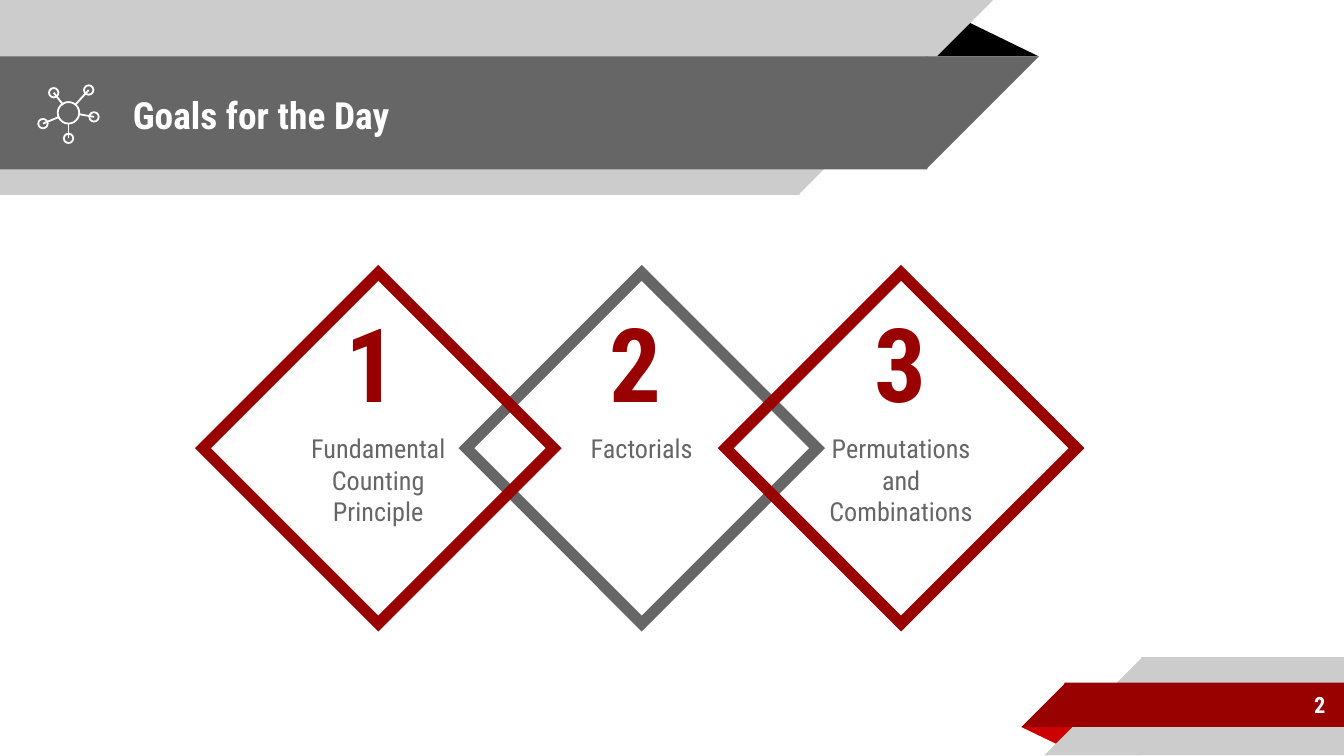
from typing import NamedTuple, Optional

from lxml.etree import SubElement
from pptx import Presentation
from pptx.dml.color import RGBColor
from pptx.enum.shapes import MSO_CONNECTOR, MSO_SHAPE as Preset
from pptx.enum.text import MSO_ANCHOR as Anchor, PP_ALIGN as Align
from pptx.oxml.ns import qn
from pptx.util import Inches, Pt

WHITE = RGBColor(0xFF, 0xFF, 0xFF)
BLACK = RGBColor(0, 0, 0)
LIGHT = RGBColor(0xCC, 0xCC, 0xCC)
GRAY = RGBColor(0x66, 0x66, 0x66)
RED = RGBColor(0x99, 0, 0)
BRIGHT_RED = RGBColor(0xCC, 0, 0)
FONT = "Roboto Condensed"
SLIDE_WIDTH = 10
ICON_LINE = 0.96
DIAMOND_TOP, DIAMOND_SIZE = 2.03, 2.61


class Box(NamedTuple):
    left: float
    top: float
    width: float
    height: float


class Fold(NamedTuple):
    box: Box
    color: RGBColor
    rotation: int


class Ribbon(NamedTuple):
    bar: Box  # overlaps the slanted end by 0.01 so that no seam shows
    color: RGBColor
    slant_left: float
    rotation: int  # turns the right angle of the slanted end towards the bar


class Goal(NamedTuple):
    left: float
    label: str
    color: RGBColor
    fill: Optional[RGBColor]
    top_inset: float
    bottom_inset: float


class Node(NamedTuple):
    x: float
    y: float
    hub_x: float
    hub_y: float


HEADER = (
    Fold(Box(6.88, 0.14, 0.85, 0.28), BLACK, 0),
    Ribbon(Box(0, 0, 5.95, 1.45), LIGHT, 5.94, 90),
    Ribbon(Box(0, 0.42, 6.9, 0.84), GRAY, 6.89, 90),
)
FOOTER = (
    Fold(Box(7.6, 5.41, 0.43, 0.14), BRIGHT_RED, 180),
    Ribbon(Box(8.49, 4.89, 1.51, 0.73), LIGHT, 7.77, 270),
    Ribbon(Box(7.92, 5.08, 2.08, 0.33), RED, 7.6, 270),
)
# Back to front
GOALS = (
    Goal(3.47, "Factorials", GRAY, WHITE, 0.1, 0.1),
    Goal(1.51, "Fundamental Counting Principle", RED, None, 0.47, 0),
    Goal(5.4, "Permutations and Combinations", RED, None, 0.47, 0),
)
NODES = (
    Node(0.4, 0.69, 0.47, 0.78),
    Node(0.66, 0.67, 0.56, 0.78),
    Node(0.7, 0.87, 0.59, 0.85),
    Node(0.51, 1.03, 0.51, 0.92),
    Node(0.32, 0.92, 0.44, 0.87),
)


def inches(values) -> list:
    return [Inches(value) for value in values]


def add_preset(slide, preset, box: Box, fill=None, line=None, width=1.0, rotation=0):
    shape = slide.shapes.add_shape(preset, *inches(box))
    shape.shadow.inherit = False
    shape.rotation = rotation
    if fill is None:
        shape.fill.background()
    else:
        shape.fill.solid()
        shape.fill.fore_color.rgb = fill
    if line is None:
        shape.line.fill.background()
    else:
        shape.line.color.rgb = line
        shape.line.width = Pt(width)
    return shape


def write(shape, text: str, size: float, color: RGBColor, bold=False,
          align=Align.LEFT, anchor=Anchor.MIDDLE, top=0.1, bottom=0.1) -> None:
    frame = shape.text_frame
    frame_format = {
        "word_wrap": True, "vertical_anchor": anchor,
        "margin_left": Inches(0.1), "margin_right": Inches(0.1),
        "margin_top": Inches(top), "margin_bottom": Inches(bottom),
    }
    for name, value in frame_format.items():
        setattr(frame, name, value)
    paragraph = frame.paragraphs[0]
    paragraph.alignment = align
    run = paragraph.add_run()
    run.text = text
    for name, value in {"name": FONT, "size": Pt(size), "bold": bold}.items():
        setattr(run.font, name, value)
    run.font.color.rgb = color


def add_text(slide, box: Box, text: str, size: float, color: RGBColor, **options) -> None:
    write(slide.shapes.add_textbox(*inches(box)), text, size, color, bold=True, **options)


def add_fold(slide, fold: Fold) -> None:
    shape = add_preset(slide, Preset.ISOSCELES_TRIANGLE, fold.box, fold.color,
                       rotation=fold.rotation)
    shape.adjustments[0] = 0.324


def add_ribbon(slide, ribbon: Ribbon) -> None:
    side = ribbon.bar.height
    add_preset(slide, Preset.RECTANGLE, ribbon.bar, ribbon.color)
    add_preset(slide, Preset.RIGHT_TRIANGLE,
               Box(ribbon.slant_left, ribbon.bar.top, side, side),
               ribbon.color, rotation=ribbon.rotation)


def add_banner(slide, parts: tuple) -> None:
    fold, *ribbons = parts
    add_fold(slide, fold)
    for ribbon in ribbons:
        add_ribbon(slide, ribbon)


def add_goal(slide, goal: Goal) -> None:
    box = Box(goal.left, DIAMOND_TOP, DIAMOND_SIZE, DIAMOND_SIZE)
    diamond = add_preset(slide, Preset.DIAMOND, box, goal.fill, goal.color, 6)
    outline = diamond.line._get_or_add_ln()
    SubElement(outline, qn("a:miter")).set("lim", "800000")
    write(diamond, goal.label, 14, GRAY, align=Align.CENTER,
          top=goal.top_inset, bottom=goal.bottom_inset)


def add_circle(slide, x: float, y: float, diameter: float) -> None:
    box = Box(x - diameter / 2, y - diameter / 2, diameter, diameter)
    add_preset(slide, Preset.OVAL, box, line=WHITE, width=ICON_LINE)


def add_spoke(slide, node: Node) -> None:
    spoke = slide.shapes.add_connector(MSO_CONNECTOR.STRAIGHT, *inches(node))
    spoke.line.color.rgb = WHITE
    spoke.line.width = Pt(ICON_LINE)
    SubElement(spoke._element.spPr, qn("a:effectLst"))


def main() -> None:
    presentation = Presentation()
    presentation.slide_width = Inches(SLIDE_WIDTH)
    presentation.slide_height = Inches(SLIDE_WIDTH * 9 / 16)
    slide = presentation.slides.add_slide(presentation.slide_layouts[6])

    # Banners, title and page number
    add_banner(slide, HEADER)
    add_banner(slide, FOOTER)
    add_text(slide, Box(0.89, 0.43, 5.75, 0.84), "Goals for the Day", 20, WHITE)
    add_text(slide, Box(8.33, 5.07, 1.63, 0.35), "2", 12, WHITE, align=Align.RIGHT)

    # Interlocking goals
    for goal in GOALS:
        add_goal(slide, goal)

    # Network icon
    for node in NODES:
        add_circle(slide, node.x, node.y, 0.07)
    add_circle(slide, 0.51, 0.84, 0.16)
    for node in NODES:
        add_spoke(slide, node)

    # Goal numbers
    for index in range(len(GOALS)):
        add_text(slide, Box(2.47 + 1.97 * index, 2.15, 0.54, 1.1), str(index + 1),
                 55, RED, anchor=Anchor.BOTTOM)

    presentation.save("out.pptx")


if __name__ == "__main__":
    main()
